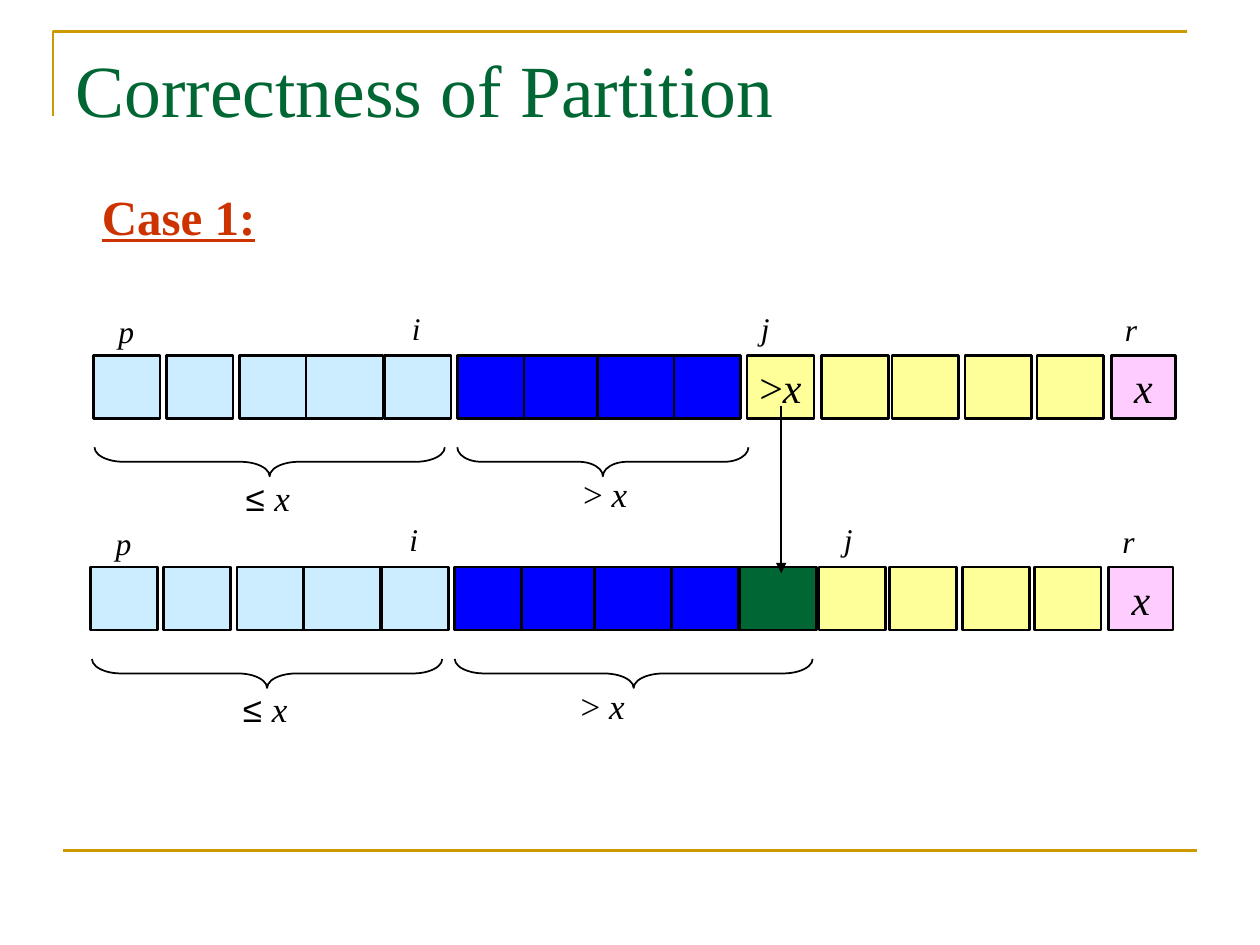
import lxml.etree
import pptx
import pptx.dml.color
import pptx.enum.shapes
import pptx.enum.text
import pptx.oxml.ns
import pptx.util

Inches = pptx.util.Inches
Shape = pptx.enum.shapes.MSO_SHAPE
Align = pptx.enum.text.PP_ALIGN
Anchor = pptx.enum.text.MSO_ANCHOR
qn = pptx.oxml.ns.qn

SERIF = "Times New Roman"
BLACK, GOLD, GREEN, RED = "000000", "CC9900", "006633", "CC3300"
SMALLER, LARGER, UNSEEN, PIVOT = "CCECFF", "0000FF", "FFFF99", "FFCCFF"

# Array columns: left edges and widths, shared by both rows
CELL_LEFTS = [0.74, 1.32, 1.9, 2.43, 3.05, 3.63, 4.16, 4.74, 5.35,
              5.93, 6.52, 7.08, 7.66, 8.23, 8.82]
CELL_WIDTH, WIDE, CELL_HEIGHT = 0.53, 0.61, 0.5
WIDE_COLUMNS = {3, 6, 7}
ROW_SHIFT = -0.02


def rgb(code):
    return pptx.dml.color.RGBColor.from_string(code)


def write(frame, *runs, size=18, color=BLACK, font=SERIF, bold=None,
          underline=None, align=Align.LEFT, anchor=Anchor.TOP, wrap=False):
    """Write runs given as (text, italic) or (text, italic, font)."""
    frame.word_wrap = wrap
    frame.vertical_anchor = anchor
    paragraph = frame.paragraphs[0]
    paragraph.alignment = align
    for text, italic, *own_font in runs:
        run = paragraph.add_run()
        run.text = text
        run.font.name = own_font[0] if own_font else font
        run.font.size = pptx.util.Pt(size)
        run.font.color.rgb = rgb(color)
        run.font.italic = italic
        run.font.bold = bold
        run.font.underline = underline


def outline(shape, color, width):
    shape.line.color.rgb = rgb(color)
    shape.line.width = pptx.util.Pt(width)


def label(shapes, left, top, width, height, *runs, **style):
    box = shapes.add_textbox(*map(Inches, (left, top, width, height)))
    write(box.text_frame, *runs, **style)


def line(shapes, start, end, color, width, arrow=False):
    connector = shapes.add_connector(
        pptx.enum.shapes.MSO_CONNECTOR.STRAIGHT, *map(Inches, start + end))
    outline(connector, color, width)
    if arrow:
        head = lxml.etree.SubElement(connector.line._get_or_add_ln(), qn("a:tailEnd"))
        head.set("type", "triangle")
    lxml.etree.SubElement(connector._element.spPr, qn("a:effectLst"))


def cell(shapes, left, top, width, fill, *runs):
    box = shapes.add_shape(
        Shape.RECTANGLE, *map(Inches, (left, top, width, CELL_HEIGHT)))
    box.shadow.inherit = False
    box.fill.solid()
    box.fill.fore_color.rgb = rgb(fill)
    outline(box, BLACK, 1.5)
    if runs:
        write(box.text_frame, *runs, size=24, align=Align.CENTER,
              anchor=Anchor.MIDDLE)


def brace_below(shapes, left, top, length, depth=0.23):
    """A left brace turned so that its point faces down."""
    frame_left = left + (length - depth) / 2
    frame_top = top - (length - depth) / 2
    brace = shapes.add_shape(
        Shape.LEFT_BRACE, *map(Inches, (frame_left, frame_top, depth, length)))
    brace.rotation = 270
    brace.adjustments[0] = length / 12 / depth
    brace.shadow.inherit = False
    brace.fill.background()
    outline(brace, BLACK, 1)


def array_row(shapes, shift, top, fills, texts, j_left, larger_length, wide):
    # Cells
    for column, (left, fill) in enumerate(zip(CELL_LEFTS, fills)):
        width = WIDE if column in wide else CELL_WIDTH
        if fill == GREEN:
            left -= 0.04  # the newly moved element touches its neighbour
        elif fill == PIVOT:
            width = 0.51
        cell(shapes, left + shift, top, width, fill, *texts.get(column, ()))

    # Index labels
    indices = [("p", 0.84, 0.39, 0.32), ("i", 3.17, 0.42, 0.27),
               ("j", j_left, 0.42, 0.27), ("r", 8.83, 0.41, 0.29)]
    for name, left, rise, width in indices:
        label(shapes, left + shift, top - rise, width, 0.4, (name, True))

    # Braces and the conditions under them
    brace_below(shapes, 0.75 + shift, top + 0.73, 2.78)
    brace_below(shapes, 3.63 + shift, top + 0.73, larger_length)
    label(shapes, 1.85 + shift, top + 0.91, 0.61, 0.44,
          ("≤ ", None, "Arial"), ("x", True), size=20)
    label(shapes, 4.53 + shift, top + 0.88, 0.55, 0.44,
          ("> ", None), ("x", True), size=20)


def page_frame(shapes):
    corner = shapes.build_freeform(Inches(0.42), Inches(0.92))
    corner.add_line_segments(
        [(Inches(0.42), Inches(0.25)), (Inches(9.42), Inches(0.25))], close=False)
    corner = corner.convert_to_shape()
    corner.shadow.inherit = False
    corner.fill.background()
    outline(corner, GOLD, 1.5)
    line(shapes, (0.5, 6.75), (9.5, 6.75), GOLD, 1.5)


def main():
    deck = pptx.Presentation()
    deck.slide_width, deck.slide_height = Inches(10), Inches(7.5)
    slide = deck.slides.add_slide(deck.slide_layouts[5])
    shapes = slide.shapes
    page_frame(shapes)

    # Headings
    title = shapes.title
    title.left, title.top, title.width, title.height = map(
        Inches, (0.5, 0.3, 9, 1.25))
    write(title.text_frame, ("Correctness of Partition", None),
          size=42, color=GREEN, wrap=True)
    label(shapes, 0.71, 1.43, 1.42, 0.57, ("Case 1:", None),
          size=28, color=RED, bold=True, underline=True)

    # Before the step: element j is greater than x
    before = shapes.add_group_shape().shapes
    pivot_text = {14: [("x", True)]}
    array_row(before, 0, 2.82,
              [SMALLER] * 5 + [LARGER] * 4 + [UNSEEN] * 5 + [PIVOT],
              {9: [(">", None), ("x", True)], **pivot_text},
              j_left=5.94, larger_length=2.31, wide=WIDE_COLUMNS)

    # After the step: the element joins the larger part and j moves on
    after = shapes.add_group_shape().shapes
    array_row(after, ROW_SHIFT, 4.5,
              [SMALLER] * 5 + [LARGER] * 4 + [GREEN] + [UNSEEN] * 4 + [PIVOT],
              pivot_text, j_left=6.62, larger_length=2.84,
              wide=WIDE_COLUMNS | {9})
    line(after, (6.2, 3.22), (6.2, 4.55), BLACK, 1, arrow=True)

    deck.save("out.pptx")


if __name__ == "__main__":
    main()
